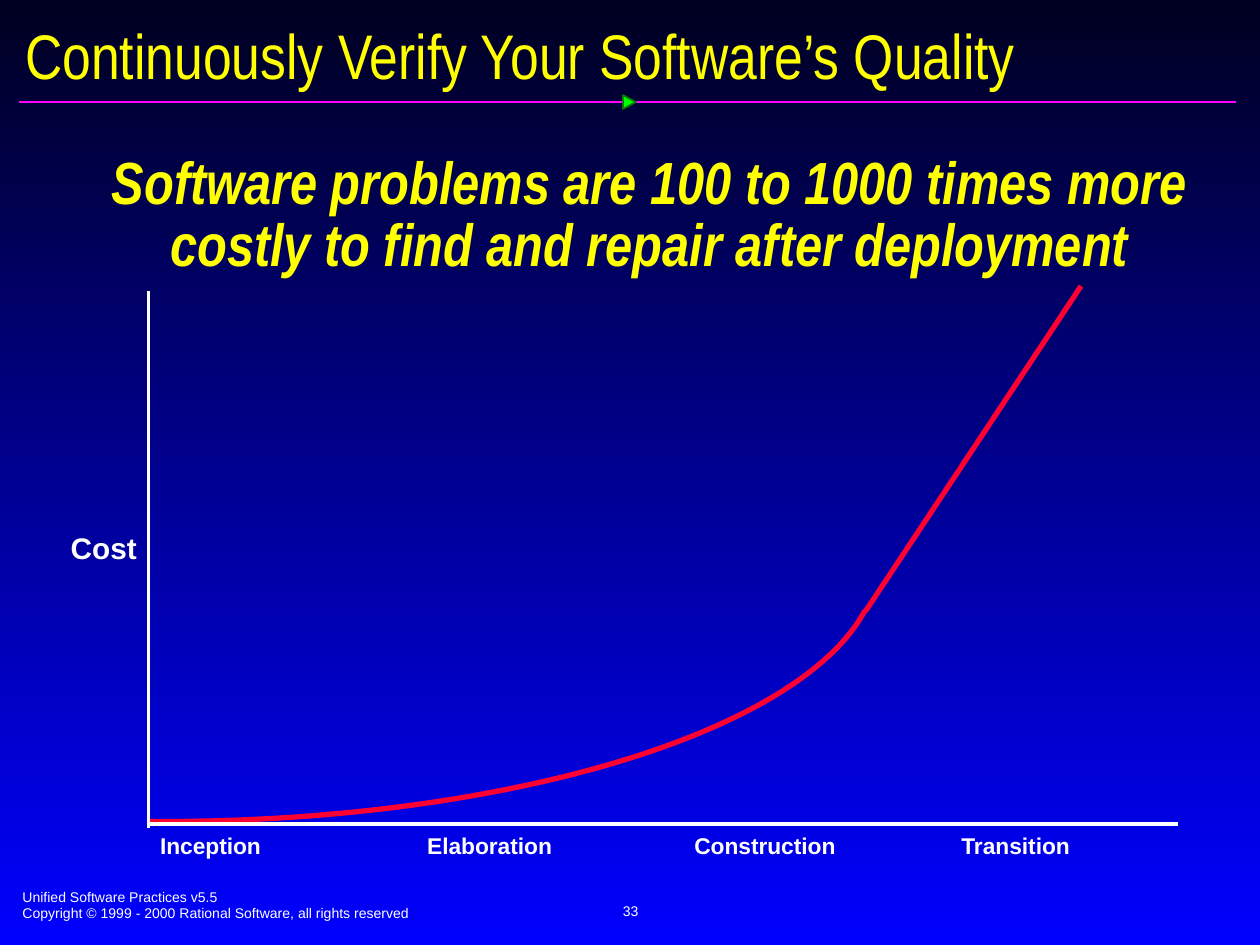
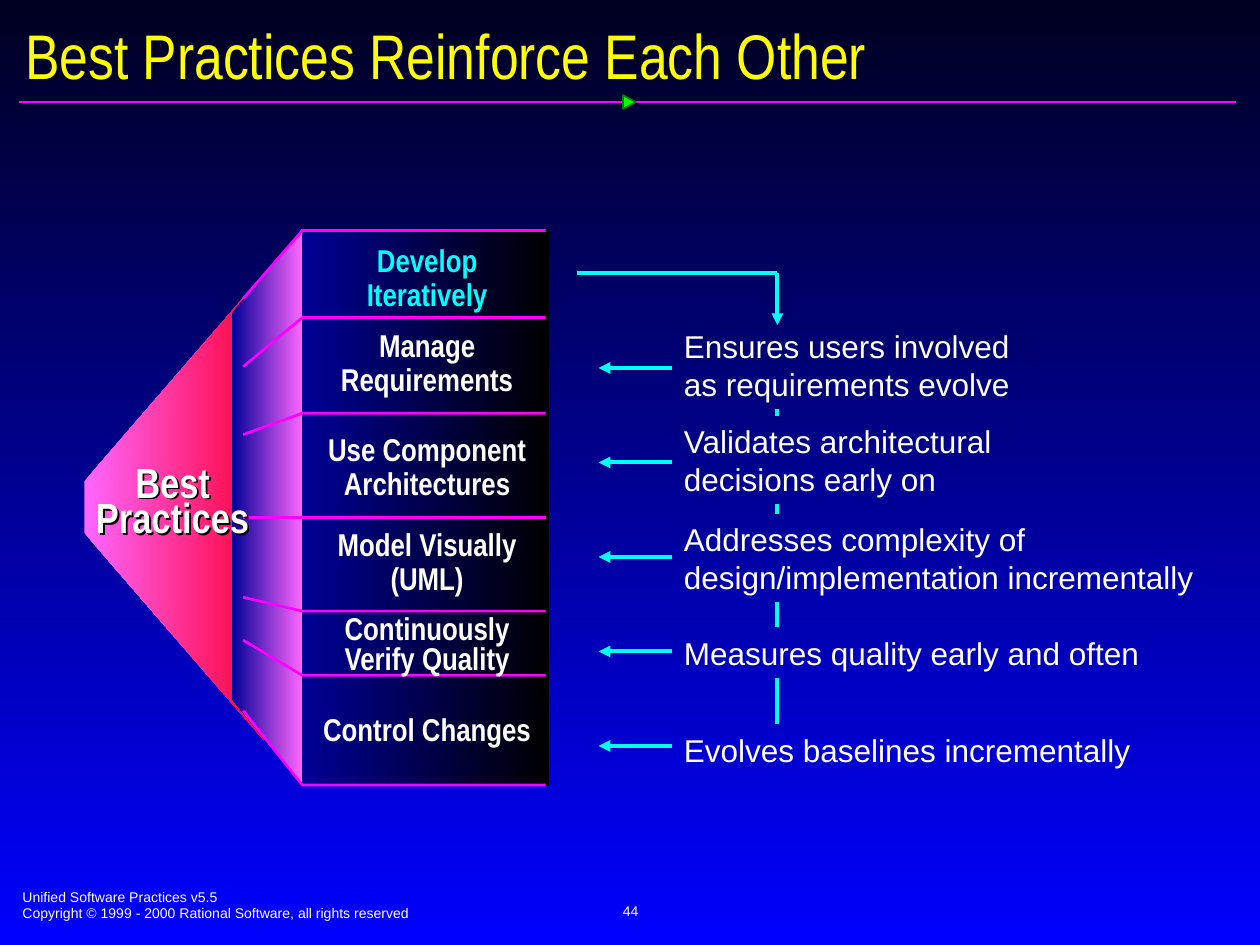
from math import cos, radians, sin

from lxml.etree import SubElement
from pptx import Presentation
from pptx.dml.color import RGBColor
from pptx.enum.shapes import MSO_CONNECTOR, MSO_SHAPE
from pptx.enum.text import MSO_ANCHOR, PP_ALIGN
from pptx.oxml.ns import qn
from pptx.util import Inches, Pt

COLORS = {
    "night": "000021", "blue": "0000FF", "yellow": "FFFF00", "white": "FFFFFF",
    "magenta": "FF00FF", "rule": "FF01FF", "green": "00FF00", "dark_green": "037C03",
    "red": "FF0033", "cyan": "00FFFF", "pink": "FF66FF", "navy": "000099",
    "black": "000000",
}
NARROW = "Arial Narrow"
PAGE_HEIGHT = 7.5
FOOTER = ("Unified Software Practices v5.5\n"
          "Copyright © 1999 - 2000 Rational Software, all rights reserved")


def rgb(name):
    return RGBColor.from_string(COLORS[name])


def set_gradient(fill, colors, angle=0):
    fill.gradient()
    fill.gradient_angle = angle
    for stop, color in zip(fill.gradient_stops, colors):
        stop.color.rgb = color


def backdrop_color(y):
    share = y / PAGE_HEIGHT
    ends = zip(rgb("night"), rgb("blue"))
    return RGBColor(*(round(a + (b - a) * share) for a, b in ends))


def add_shadow(shape):
    effects = SubElement(shape._element.spPr, qn("a:effectLst"))
    shadow = SubElement(effects, qn("a:outerShdw"), dist=str(Inches(0.02)),
                        dir="2700000")
    SubElement(shadow, qn("a:srgbClr"), val=COLORS["black"])


def set_tabs(para, step, count):
    tabs = SubElement(para._p.get_or_add_pPr(), qn("a:tabLst"))
    for i in range(1, count + 1):
        SubElement(tabs, qn("a:tab"), pos=str(Inches(step * i)), algn="l")


def write(shape, text, size, color="white", font="Arial", bold=False, italic=False,
          align=PP_ALIGN.LEFT, anchor=MSO_ANCHOR.TOP, spacing=None, wrap=True,
          inset=0.1, tab_step=None):
    frame = shape.text_frame
    frame.word_wrap = wrap
    frame.vertical_anchor = anchor
    frame.margin_left = frame.margin_right = Inches(inset)
    frame.margin_top = frame.margin_bottom = Inches(0.05)
    for i, line in enumerate(text.split("\n")):
        para = frame.add_paragraph() if i else frame.paragraphs[0]
        if tab_step:
            set_tabs(para, tab_step, line.count("\t"))
        para.alignment = align
        para.line_spacing = spacing
        para.space_before = Pt(0)
        span = para.add_run()
        span.text = line
        span.font.size = Pt(size)
        span.font.bold = bold
        span.font.italic = italic
        span.font.color.rgb = rgb(color)
        span.font.name = font


def add_text(page, box, text, size, **style):
    shape = page.shapes.add_textbox(*map(Inches, box))
    write(shape, text, size, **style)
    return shape


def add_block(page, kind, box):
    shape = page.shapes.add_shape(kind, *map(Inches, box))
    shape.shadow.inherit = False
    shape.line.fill.background()
    return shape


def add_line(page, start, end, color, width, arrow=False):
    line = page.shapes.add_connector(MSO_CONNECTOR.STRAIGHT, *map(Inches, start + end))
    line.line.color.rgb = rgb(color)
    line.line.width = Pt(width)
    SubElement(line._element.spPr, qn("a:effectLst"))
    if arrow:
        SubElement(line.line._get_or_add_ln(), qn("a:tailEnd"), type="triangle")


def add_outline(page, origin, points, close=False):
    left, top = origin
    spots = [(Inches(left + x), Inches(top + y)) for x, y in points]
    builder = page.shapes.build_freeform(*spots[0], scale=1.0)
    builder.add_line_segments(spots[1:], close=close)
    shape = builder.convert_to_shape()
    shape.shadow.inherit = False
    return shape


def add_path(page, origin, points, color, width):
    path = add_outline(page, origin, points)
    path.fill.background()
    path.line.color.rgb = rgb(color)
    path.line.width = Pt(width)


def add_face(page, origin, corners, *colors):
    face = add_outline(page, origin, corners, close=True)
    face.line.fill.background()
    set_gradient(face.fill, map(rgb, colors))


def add_page(deck, title, number):
    page = deck.slides.add_slide(deck.slide_layouts[5])
    add_text(page, (0.08, 7, 5.1, 0.37), FOOTER, 8)
    add_text(page, (3.42, 6.98, 3.17, 0.5), str(number), 8,
             align=PP_ALIGN.CENTER, anchor=MSO_ANCHOR.MIDDLE, wrap=False)
    add_line(page, (0.15, 0.81), (9.81, 0.81), "rule", 1)
    marker = add_block(page, MSO_SHAPE.ISOSCELES_TRIANGLE, (4.94, 0.76, 0.11, 0.1))
    marker.rotation = 90
    marker.fill.solid()
    marker.fill.fore_color.rgb = rgb("green")
    marker.line.color.rgb = rgb("dark_green")
    marker.line.width = Pt(1)

    heading = page.shapes.title
    heading.left, heading.top, heading.width, heading.height = map(
        Inches, (0.1, 0.14, 9.84, 0.58))
    write(heading, title, 36, color="yellow", font=NARROW, anchor=MSO_ANCHOR.MIDDLE)
    return page


def add_cost_graph(page, left, top):
    add_line(page, (left + 5.69, top + 2.58), (left + 7.4, top), "red", 3)
    arc = [(0.11 + 5.68 * cos(radians(a)), 2.18 + 2.07 * sin(radians(a)))
           for a in range(91, 10, -1)]
    add_path(page, (left, top), arc, "red", 3)
    add_text(page, (left, top + 4.31, 8.18, 0.28),
             "Inception\tElaboration\tConstruction\tTransition", 13,
             bold=True, spacing=0.9, inset=0.09, tab_step=2.12)
    add_line(page, (left, top + 0.04), (left, top + 4.3), "white", 2)
    add_line(page, (left, top + 4.27), (left + 8.17, top + 4.27), "white", 2)
    add_text(page, (left - 0.71, top + 1.92, 0.71, 0.34), "Cost", 17,
             bold=True, spacing=0.9, inset=0.09, wrap=False)


def add_practice_block(page, left, top):
    origin = left, top
    front = add_block(page, MSO_SHAPE.RECTANGLE, (left + 1.69, top, 2, 4.42))
    set_gradient(front.fill, (rgb("navy"), rgb("black")))
    add_face(page, origin, [(1.43, 4.06), (1.43, 0.35), (0, 2), (0, 2.41)],
             "pink", "red")
    add_face(page, origin, [(1.73, 4.41), (1.73, 0), (1.17, 0.67), (1.17, 3.73)],
             "navy", "pink")

    dividers = [(0.01, 0.55), (0.7, 1.09), (1.46, 1.63), (2.29, 2.29),
                (3.03, 2.92), (3.54, 3.26), (4.41, 3.82)]
    for front_y, back_y in dividers:
        add_path(page, origin, [(3.66, front_y), (1.73, front_y), (1.26, back_y)],
                 "magenta", 1.5)

    centred = dict(font=NARROW, bold=True, align=PP_ALIGN.CENTER,
                   anchor=MSO_ANCHOR.MIDDLE)
    practices = [
        ("Develop Iteratively", 0.08, 0.64, "cyan", 0.9),
        ("Manage Requirements", 0.75, 0.64, "white", 0.9),
        ("Use Component Architectures", 1.58, 0.64, "white", 0.9),
        ("Model Visually (UML)", 2.33, 0.64, "white", 0.9),
        ("Continuously Verify Quality", 3.02, 0.58, "white", 0.8),
        ("Control Changes", 3.8, 0.37, "white", 0.9),
    ]
    for name, y, height, color, spacing in practices:
        add_text(page, (left + 1.75, top + y, 1.94, height), name, 18,
                 color=color, spacing=spacing, **centred)
    emblem = add_text(page, (left - 0.2, top + 1.86, 1.8, 0.66), "Best\nPractices", 24,
                      spacing=0.7, **centred)
    add_shadow(emblem)


def add_benefits(page, left, top):
    stem = left + 1.59
    add_line(page, (left, top), (stem, top), "cyan", 2.25)
    add_line(page, (stem, top), (stem, top + 3.75), "cyan", 2.25)
    benefits = [
        ("Ensures users involved\nas requirements evolve", 0.38, 2.85),
        ("Validates architectural\ndecisions early on", 1.13, 2.73),
        ("Addresses complexity of\ndesign/implementation incrementally", 1.91, 4.24),
        ("Measures quality early and often", 2.81, 3.81),
        ("Evolves baselines incrementally", 3.58, 3.74),
    ]
    for i, (text, offset, width) in enumerate(benefits, 1):
        arrow_y = top + 0.75 * i
        add_line(page, (left + 1.5, arrow_y), (left + 0.17, arrow_y),
                 "cyan", 2.25, arrow=True)
        y = top + offset
        height = 0.7 if "\n" in text else 0.4
        panel = add_block(page, MSO_SHAPE.RECTANGLE, (left + 0.75, y, width, height))
        set_gradient(panel.fill, (backdrop_color(y), backdrop_color(y + height)), 270)
        write(panel, text, 18, wrap=False)
    add_line(page, (stem, top), (stem, top + 0.41), "cyan", 2.25, arrow=True)


def build_quality_page(deck):
    page = add_page(deck, "Continuously Verify Your Software’s Quality", 33)
    add_text(page, (0.55, 1.18, 9.21, 1.08),
             "Software problems are 100 to 1000 times more costly to find "
             "and repair after deployment", 34, color="yellow", font=NARROW,
             bold=True, italic=True, align=PP_ALIGN.CENTER, spacing=0.87, inset=0.09)
    add_cost_graph(page, 1.18, 2.27)


def build_practices_page(deck):
    page = add_page(deck, "Best Practices Reinforce Each Other", 44)
    add_benefits(page, 4.58, 2.17)
    add_practice_block(page, 0.67, 1.82)


def main():
    deck = Presentation()
    deck.slide_width, deck.slide_height = Inches(10), Inches(PAGE_HEIGHT)
    set_gradient(deck.slide_master.background.fill, (rgb("night"), rgb("blue")), 270)
    build_quality_page(deck)
    build_practices_page(deck)
    deck.save("out.pptx")


if __name__ == "__main__":
    main()
